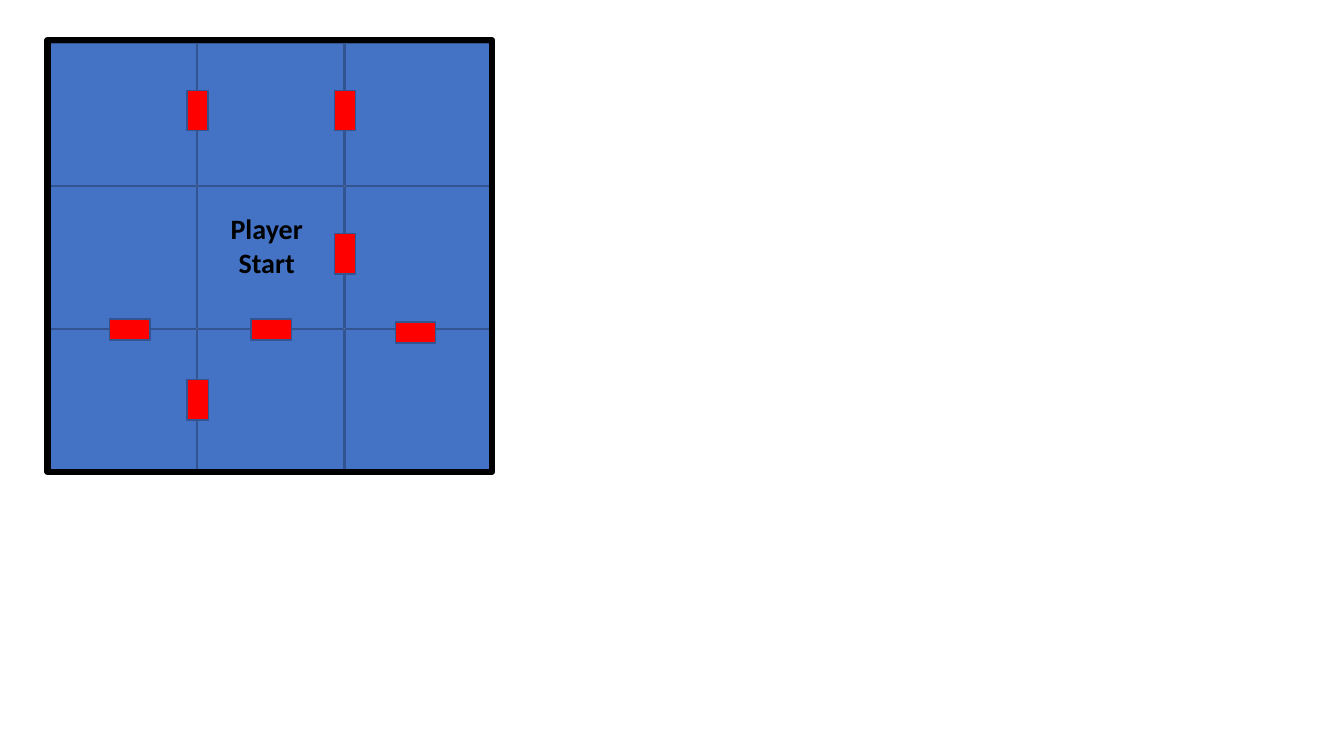
from pptx import Presentation
from pptx.dml.color import RGBColor
from pptx.enum.shapes import MSO_SHAPE
from pptx.enum.text import MSO_AUTO_SIZE, PP_ALIGN
from pptx.util import Inches, Pt

RECT = MSO_SHAPE.RECTANGLE
CENTER = PP_ALIGN.CENTER
GROW = MSO_AUTO_SIZE.SHAPE_TO_FIT_TEXT
COLORS = {"room": "4472C4", "edge": "325491", "door": "FF0000", "ink": "000000"}

# Grid of rooms, in inches
LEFT, TOP = 0.5, 0.43
COL, ROW = 1.46, 1.42
ROOM_W, ROOM_H = 1.45, 1.41
DOOR_W, DOOR_H = 0.21, 0.4

prs = Presentation()
prs.slide_width, prs.slide_height = Inches(13.33), Inches(7.5)
s = prs.slides.add_slide(prs.slide_layouts[6])


def add_rect(x, y, w, h, fill, line, weight):
    sp = s.shapes.add_shape(RECT, Inches(x), Inches(y), Inches(w), Inches(h))
    sp.shadow.inherit = False
    if fill:
        sp.fill.solid()
        sp.fill.fore_color.rgb = RGBColor.from_string(COLORS[fill])
    else:
        sp.fill.background()
    sp.line.color.rgb = RGBColor.from_string(COLORS[line])
    sp.line.width = Pt(weight)
    return sp


# Rooms
for row in range(3):
    for col in range(3):
        add_rect(LEFT + col * COL, TOP + row * ROW, ROOM_W, ROOM_H, "room", "edge", 1)

# Outer wall
add_rect(0.47, 0.4, 4.41, 4.28, None, "ink", 4.5)

# Doors: centre in columns and rows, rotation
doors = [
    (1, 0.47, 0), (2, 0.47, 0), (2, 1.47, 0),
    (1.5, 2, 90), (0.54, 2, 90), (1, 2.49, 180), (2.48, 2.02, 90),
]
for col, row, angle in doors:
    x = LEFT + col * COL - DOOR_W / 2
    y = TOP + row * ROW - DOOR_H / 2
    sp = add_rect(x, y, DOOR_W, DOOR_H, "door", "edge", 1)
    sp.rotation = angle

# Start label in the middle room
sp = s.shapes.add_textbox(Inches(2.09), Inches(2.05), Inches(1.11), Inches(0.77))
tf = sp.text_frame
tf.word_wrap = True
tf.auto_size = GROW
tf.text = "Player\nStart"
for p in tf.paragraphs:
    p.alignment = CENTER
    p.font.name = "Calibri"
    p.font.size = Pt(20)
    p.font.bold = True
    p.font.color.rgb = RGBColor.from_string(COLORS["ink"])

prs.save("out.pptx")
